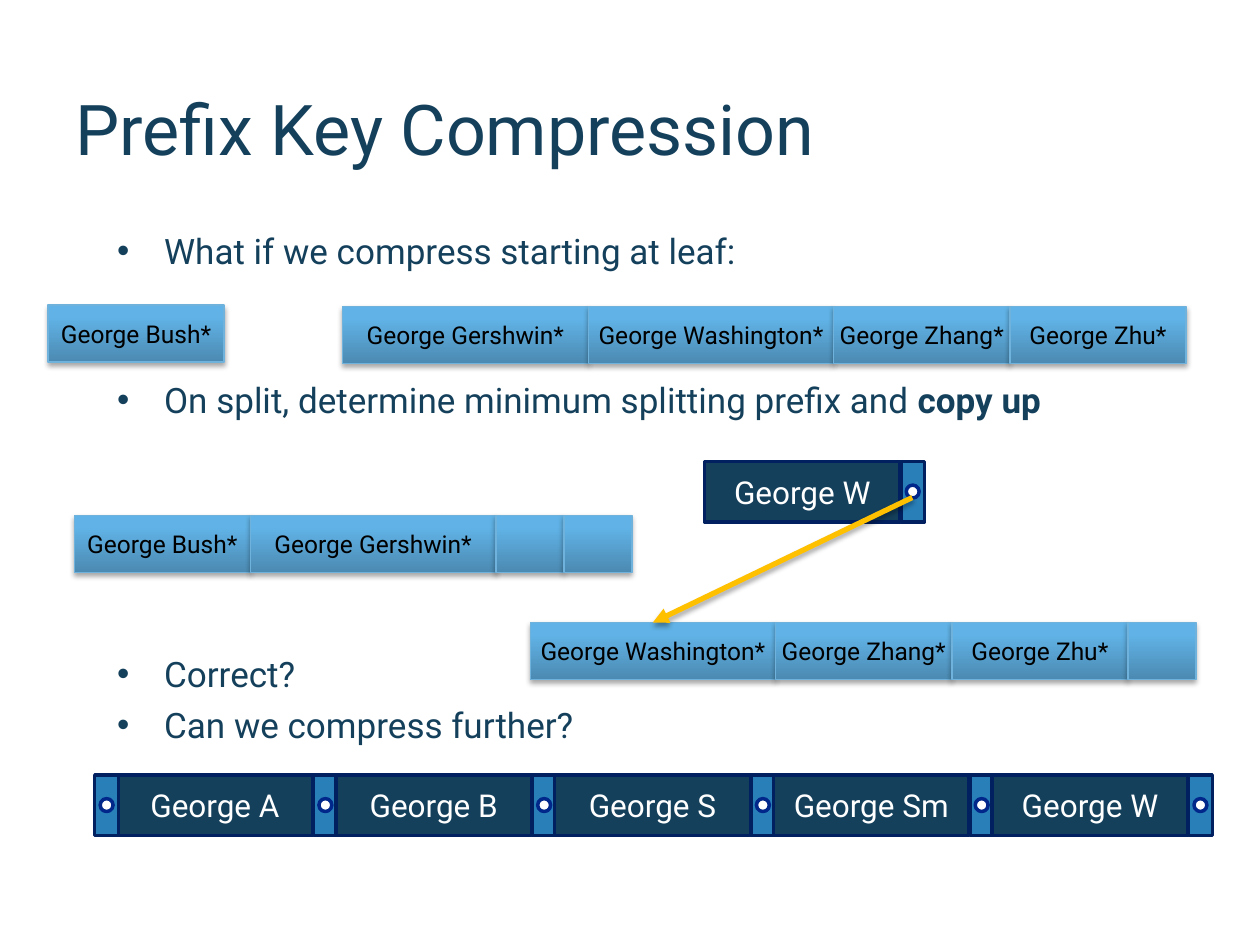
from copy import deepcopy
from dataclasses import dataclass

from lxml import etree
from pptx import Presentation
from pptx import util as u
from pptx.dml.color import RGBColor
from pptx.enum import shapes, text
from pptx.oxml import ns


@dataclass(frozen=True)
class Theme:
    """Colours, type sizes and shared measures (cm) of the slide."""
    font: str = "Roboto"
    title_size: int = 40
    body_size: int = 20
    key_size: int = 18
    entry_size: int = 14
    ink: str = "14405C"
    white: str = "FFFFFF"
    black: str = "000000"
    pointer: str = "2980B9"
    node_line: str = "002060"
    dot_line: str = "002789"
    entry_line: str = "6FB2DC"
    arrow: str = "FFC000"
    entry_stops: tuple = ((0, "4B8AB2"), (0.8, "61B3E7"), (1, "5FB4EA"))
    entry_height: float = 1.15
    node_height: float = 1.22
    key_width: float = 3.95
    pointer_width: float = 0.48
    pointer_step: float = 3.96
    node_pitch: float = 4.41
    dot: float = 0.26


THEME = Theme()
LONG, SHORT, EMPTY = 4.95, 3.55, 1.37
BUSH = ("George Bush*", SHORT)
GERSHWIN = ("George Gershwin*", LONG)
WASHINGTON = ("George Washington*", LONG)
ZHANG = ("George Zhang*", SHORT)
ZHU = ("George Zhu*", SHORT)
BLANK = ("", EMPTY)


def rgb(value):
    """Turn a hex string into a colour."""
    return RGBColor.from_string(value)


def set_font(paragraph, size, colour):
    """Set the font of a whole paragraph."""
    paragraph.font.name = THEME.font
    paragraph.font.size = u.Pt(size)
    paragraph.font.color.rgb = rgb(colour)


def add_shadow(effects):
    """Put the soft downward shadow in an effect list."""
    shadow = etree.SubElement(effects, ns.qn("a:outerShdw"), blurRad=str(u.Pt(3.1)),
                              dist=str(u.Pt(1.8)), dir="5400000", rotWithShape="0")
    colour = etree.SubElement(shadow, ns.qn("a:srgbClr"), val=THEME.black)
    etree.SubElement(colour, ns.qn("a:alpha"), val="35000")


def add_box(parent, kind, box, line, line_width, fill=None):
    """Add an outlined shape, with a solid fill if one is given."""
    shape = parent.shapes.add_shape(kind, *map(u.Cm, box))
    shape.shadow.inherit = False
    shape.line.color.rgb = rgb(line)
    shape.line.width = u.Pt(line_width)
    if fill:
        shape.fill.solid()
        shape.fill.fore_color.rgb = rgb(fill)
    return shape


def add_label(shape, label, size, colour):
    """Write a centred label in a shape."""
    frame = shape.text_frame
    frame.margin_left = frame.margin_right = 0
    frame.vertical_anchor = text.MSO_ANCHOR.MIDDLE
    paragraph = frame.paragraphs[0]
    paragraph.text = label
    paragraph.alignment = text.PP_ALIGN.CENTER
    set_font(paragraph, size, colour)


def fill_gradient(shape):
    """Fill a leaf entry with its three-stop gradient."""
    shape.fill.gradient()
    shape.fill.gradient_angle = 90
    stop_list = shape.element.spPr.find(".//" + ns.qn("a:gsLst"))
    stop_list.append(deepcopy(stop_list[0]))
    for stop, (position, colour) in zip(shape.fill.gradient_stops, THEME.entry_stops):
        stop.position = position
        stop.color.rgb = rgb(colour)


def add_leaf(slide, left, top, entries):
    """Add a leaf page as a row of adjoining entries."""
    group = slide.shapes.add_group_shape()
    for label, width in entries:
        entry = add_box(group, shapes.MSO_SHAPE.RECTANGLE,
                        (left, top, width, THEME.entry_height), THEME.entry_line, 0.75)
        fill_gradient(entry)
        add_shadow(entry.element.spPr.find(ns.qn("a:effectLst")))
        if label:
            add_label(entry, label, THEME.entry_size, THEME.black)
        left += width


def add_pointer(group, left, top):
    """Add a pointer cell with its dot."""
    add_box(group, shapes.MSO_SHAPE.RECTANGLE,
            (left, top, THEME.pointer_width, THEME.node_height),
            THEME.node_line, 2, THEME.pointer)
    add_box(group, shapes.MSO_SHAPE.OVAL, (left + 0.11, top + 0.48, THEME.dot, THEME.dot),
            THEME.dot_line, 2, THEME.white)


def add_node(slide, left, top, keys, leading_pointer=False):
    """Add an index node: keys, each followed by a pointer."""
    group = slide.shapes.add_group_shape()
    for index, key in enumerate(keys):
        key_left = left + index * THEME.node_pitch
        cell = add_box(group, shapes.MSO_SHAPE.RECTANGLE,
                       (key_left, top, THEME.key_width, THEME.node_height),
                       THEME.node_line, 2, THEME.ink)
        add_label(cell, key, THEME.key_size, THEME.white)
        add_pointer(group, key_left + THEME.pointer_step, top)
    if leading_pointer:
        add_pointer(group, left + THEME.pointer_step - THEME.node_pitch, top)


def add_arrow(slide, start, end):
    """Add the arrow from a pointer to its leaf."""
    arrow = slide.shapes.add_connector(shapes.MSO_CONNECTOR.STRAIGHT,
                                       *map(u.Cm, start + end))
    arrow.line.color.rgb = rgb(THEME.arrow)
    arrow.line.width = u.Pt(3)
    properties = arrow.element.spPr
    etree.SubElement(properties.find(ns.qn("a:ln")), ns.qn("a:tailEnd"), type="triangle")
    add_shadow(etree.SubElement(properties, ns.qn("a:effectLst")))


def add_title(slide, title):
    """Place and format the title."""
    shape = slide.shapes.title
    shape.left, shape.top, shape.width, shape.height = map(u.Cm, (1.27, 1.85, 22.86, 1.45))
    frame = shape.text_frame
    frame.text = title
    frame.vertical_anchor = text.MSO_ANCHOR.MIDDLE
    frame.auto_size = text.MSO_AUTO_SIZE.SHAPE_TO_FIT_TEXT
    frame.paragraphs[0].alignment = text.PP_ALIGN.LEFT
    set_font(frame.paragraphs[0], THEME.title_size, THEME.ink)


def add_bullets(slide, items):
    """Add the bullets, each as (space before, text, bold ending)."""
    frame = slide.shapes.add_textbox(*map(u.Cm, (2.11, 4.5, 21.2, 11.38))).text_frame
    frame.word_wrap = True
    for index, (space, words, bold_words) in enumerate(items):
        paragraph = frame.add_paragraph() if index else frame.paragraphs[0]
        properties = paragraph._p.get_or_add_pPr()
        properties.set("marL", str(u.Cm(0.95)))
        properties.set("indent", str(u.Cm(-0.95)))
        etree.SubElement(properties, ns.qn("a:buFont"), typeface="Arial")
        etree.SubElement(properties, ns.qn("a:buChar"), char="•")
        paragraph.space_before = u.Pt(space)
        set_font(paragraph, THEME.body_size, THEME.ink)
        paragraph.add_run().text = words
        if bold_words:
            run = paragraph.add_run()
            run.text = bold_words
            run.font.bold = True


def main():
    """Build the slide and save it."""
    presentation = Presentation()
    presentation.slide_width, presentation.slide_height = u.Cm(25.4), u.Cm(19.05)
    slide = presentation.slides.add_slide(presentation.slide_layouts[5])
    add_title(slide, "Prefix Key Compression")
    add_bullets(slide, [
        (4.7, "What if we compress starting at leaf:", ""),
        (61, "On split, determine minimum splitting prefix and ", "copy up"),
        (133, "Correct?", ""),
        (4.7, "Can we compress further?", ""),
    ])
    add_leaf(slide, 0.97, 6.15, [BUSH])
    add_leaf(slide, 6.91, 6.18, [GERSHWIN, WASHINGTON, ZHANG, ZHU])
    add_leaf(slide, 1.5, 10.39, [BUSH, GERSHWIN, BLANK, BLANK])
    add_leaf(slide, 10.69, 12.55, [WASHINGTON, ZHANG, ZHU, BLANK])
    add_node(slide, 14.2, 9.3, ["George W"])
    add_arrow(slide, (18.39, 10.03), (13.16, 12.55))
    add_node(slide, 2.36, 15.62,
             ["George A", "George B", "George S", "George Sm", "George W"],
             leading_pointer=True)
    presentation.save("out.pptx")


main()
